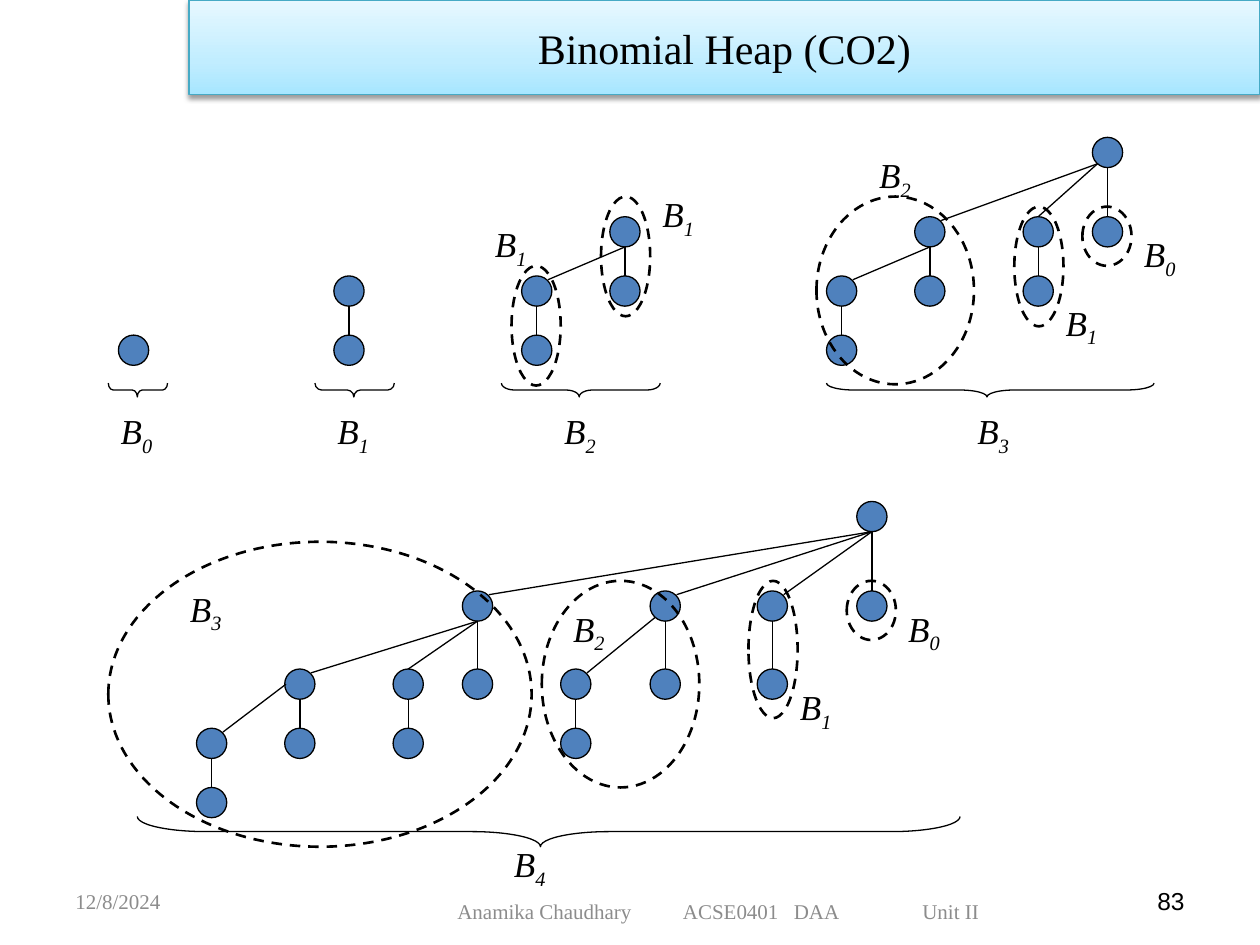
from dataclasses import dataclass
from typing import NamedTuple

from lxml.etree import SubElement
from pptx import Presentation
from pptx.dml.color import RGBColor as Rgb
from pptx.enum.dml import MSO_LINE_DASH_STYLE as Dash
from pptx.enum.shapes import MSO_CONNECTOR as Connector, MSO_SHAPE as Preset
from pptx.enum.text import MSO_ANCHOR as Anchor, PP_ALIGN as Align
from pptx.oxml import parse_xml
from pptx.oxml.ns import nsdecls, qn
from pptx.util import Inches, Pt


@dataclass(frozen=True)
class Theme:
    ink: str = "000000"
    node: str = "4F81BD"
    muted: str = "8C8C8C"
    title_line: str = "46AAC5"
    title_stops: tuple = ((0, "A7E6FF"), (35, "C1EDFF"), (100, "E7F8FF"))
    serif: str = "Times New Roman"
    sans: str = "Arial"
    title_size: int = 24
    label_size: int = 20
    page_size: int = 14
    footer_size: int = 12
    thin: float = 0.75
    dashed: float = 1.5


THEME = Theme()
DIAMETER = 0.24


class Offset(NamedTuple):
    """Where a link touches a node, measured from the node's centre."""
    x: float
    y: float


TOP = Offset(0, -0.12)
BOTTOM = Offset(0, 0.12)
LEFT = Offset(-0.11, 0)
LOWER_LEFT = Offset(-0.08, 0.09)
UPPER_RIGHT = Offset(0.09, -0.09)


class Node(NamedTuple):
    """A heap node; leave and arrive place the ends of the link from its parent."""
    x: float
    y: float
    children: tuple = ()
    leave: Offset = BOTTOM
    arrive: Offset = TOP


class Label(NamedTuple):
    order: int
    left: float
    top: float


class Brace(NamedTuple):
    left: float
    top: float
    length: float
    depth: float = 0.11


class Outline(NamedTuple):
    left: float
    top: float
    width: float
    height: float


def pair(x: float, y: float, gap: float = 0.47, **link) -> Node:
    """A B1 tree: a node with one child straight below."""
    return Node(x, y, (Node(x, y + gap),), **link)


TREES = (
    Node(1.06, 2.78),
    pair(2.77, 2.31),
    Node(4.96, 1.84, (pair(4.26, 2.31, arrive=UPPER_RIGHT), Node(4.96, 2.31))),
    Node(8.79, 1.21, (
        Node(7.38, 1.84, (pair(6.68, 2.31, arrive=UPPER_RIGHT), Node(7.38, 2.31)),
             LOWER_LEFT, UPPER_RIGHT),
        pair(8.24, 1.84, leave=LOWER_LEFT),
        Node(8.79, 1.84),
    )),
    Node(6.92, 4.1, (
        Node(3.79, 4.81, (
            Node(2.38, 5.43, (pair(1.68, 5.9, leave=LEFT, arrive=UPPER_RIGHT),
                              Node(2.38, 5.9)), arrive=UPPER_RIGHT),
            pair(3.24, 5.43),
            Node(3.79, 5.43),
        ), arrive=UPPER_RIGHT),
        Node(5.28, 4.81, (pair(4.57, 5.43, leave=LOWER_LEFT, arrive=UPPER_RIGHT),
                          Node(5.28, 5.43)), arrive=UPPER_RIGHT),
        pair(6.13, 4.81, 0.62, arrive=UPPER_RIGHT),
        Node(6.92, 4.81),
    )),
)
OUTLINES = (
    Outline(4.77, 1.56, 0.39, 0.95), Outline(4.06, 2.11, 0.39, 0.95),
    Outline(6.48, 1.56, 1.25, 1.49), Outline(8.05, 1.64, 0.39, 0.95),
    Outline(8.59, 1.64, 0.39, 0.47), Outline(0.86, 4.3, 3.36, 2.42),
    Outline(4.3, 4.61, 1.25, 1.64), Outline(5.94, 4.61, 0.39, 1.09),
    Outline(6.72, 4.61, 0.39, 0.47),
)
BRACES = (
    Brace(0.86, 3.04, 0.47), Brace(2.5, 3.04, 0.63), Brace(3.98, 3.04, 1.26),
    Brace(6.56, 3.04, 2.6), Brace(1.09, 6.48, 6.53, 0.24),
)
LABELS = (
    Label(0, 0.86, 3.2), Label(1, 2.58, 3.2), Label(2, 4.38, 3.2),
    Label(3, 7.66, 3.2), Label(4, 3.98, 6.64),
    Label(1, 3.83, 1.72), Label(1, 5.16, 1.48), Label(2, 6.88, 1.17),
    Label(1, 8.36, 2.34), Label(0, 8.98, 1.8),
    Label(3, 1.41, 4.61), Label(2, 4.45, 4.77), Label(1, 6.25, 5.39),
    Label(0, 7.11, 4.77),
)


def add_run(paragraph, text, *, size, font=THEME.serif, color=THEME.ink, italic=False):
    run = paragraph.add_run()
    run.text = text
    run.font.size, run.font.name, run.font.italic = Pt(size), font, italic
    run.font.color.rgb = Rgb.from_string(color)
    return run


def add_box(slide, left, top, width, height, *, anchor=Anchor.TOP, wrap=True,
            align=Align.LEFT):
    frame = slide.shapes.add_textbox(*map(Inches, (left, top, width, height))).text_frame
    frame.word_wrap, frame.vertical_anchor = wrap, anchor
    frame.paragraphs[0].alignment = align
    return frame


def draw_preset(slide, preset, left, top, width, height, *, fill=None,
                weight=THEME.thin):
    shape = slide.shapes.add_shape(preset, *map(Inches, (left, top, width, height)))
    shape.shadow.inherit = False
    if fill:
        shape.fill.solid()
        shape.fill.fore_color.rgb = Rgb.from_string(fill)
    else:
        shape.fill.background()
    shape.line.color.rgb = Rgb.from_string(THEME.ink)
    shape.line.width = Pt(weight)
    return shape


def draw_tree(slide, node: Node) -> None:
    radius = DIAMETER / 2
    draw_preset(slide, Preset.OVAL, node.x - radius, node.y - radius,
                DIAMETER, DIAMETER, fill=THEME.node)
    for child in node.children:
        draw_tree(slide, child)
        link = slide.shapes.add_connector(Connector.STRAIGHT, *map(Inches, (
            node.x + child.leave.x, node.y + child.leave.y,
            child.x + child.arrive.x, child.y + child.arrive.y)))
        link.line.color.rgb = Rgb.from_string(THEME.ink)
        link.line.width = Pt(THEME.thin)
        SubElement(link._element.spPr, qn("a:effectLst"))


def draw_brace(slide, brace: Brace) -> None:
    """Turn an upright left brace about its centre so that it points down."""
    left = brace.left + (brace.length - brace.depth) / 2
    top = brace.top - (brace.length - brace.depth) / 2
    shape = draw_preset(slide, Preset.LEFT_BRACE, left, top, brace.depth, brace.length)
    shape.rotation = 270
    shape.adjustments[0] = brace.length / brace.depth / 12
    shape.adjustments[1] = 0.49


def draw_label(slide, label: Label) -> None:
    frame = add_box(slide, label.left, label.top, 0.47, 0.44, wrap=False)
    paragraph = frame.paragraphs[0]
    add_run(paragraph, "B", size=THEME.label_size, italic=True)
    order = add_run(paragraph, str(label.order), size=THEME.label_size, italic=True)
    order.font._element.set("baseline", "-25000")


def draw_title(slide) -> None:
    title = slide.shapes.title
    title.left, title.top, title.width, title.height = map(Inches, (1.5, 0, 8.5, 0.75))
    stops = "".join(f'<a:gs pos="{place * 1000}"><a:srgbClr val="{color}"/></a:gs>'
                    for place, color in THEME.title_stops)
    properties = title._element.spPr
    properties.append(parse_xml(
        f'<a:gradFill {nsdecls("a")} rotWithShape="1"><a:gsLst>{stops}</a:gsLst>'
        '<a:lin ang="16200000" scaled="1"/></a:gradFill>'))
    title.line.color.rgb = Rgb.from_string(THEME.title_line)
    title.line.width = Pt(THEME.thin)
    properties.append(parse_xml(
        f'<a:effectLst {nsdecls("a")}><a:outerShdw blurRad="39370" dist="20320" '
        f'dir="5400000" rotWithShape="0"><a:srgbClr val="{THEME.ink}">'
        '<a:alpha val="38000"/></a:srgbClr></a:outerShdw></a:effectLst>'))
    title.text_frame.vertical_anchor = Anchor.MIDDLE
    paragraph = title.text_frame.paragraphs[0]
    paragraph.alignment = Align.CENTER
    add_run(paragraph, "Binomial Heap (CO2)", size=THEME.title_size)


def draw_footer(slide) -> None:
    muted = dict(size=THEME.footer_size, color=THEME.muted)
    date = add_box(slide, 0.5, 6.95, 2.33, 0.4, anchor=Anchor.MIDDLE)
    add_run(date.paragraphs[0], "12/8/2024", **muted)
    course = add_box(slide, 3.39, 7.03, 4.63, 0.4, anchor=Anchor.MIDDLE)
    course.margin_left = Inches(0.24)
    tabs = SubElement(course.paragraphs[0]._p.get_or_add_pPr(), qn("a:tabLst"))
    for stop in (1.79, 2.67, 3.69):
        SubElement(tabs, qn("a:tab"), pos=str(Inches(stop)), algn="l")
    add_run(course.paragraphs[0], "Anamika Chaudhary\tACSE0401\tDAA\tUnit II", **muted)
    page = add_box(slide, 7.17, 6.95, 2.33, 0.4, anchor=Anchor.MIDDLE, align=Align.RIGHT)
    add_run(page.paragraphs[0], "83", size=THEME.page_size, font=THEME.sans)


def main() -> None:
    deck = Presentation()
    deck.slide_width, deck.slide_height = Inches(10), Inches(7.5)
    slide = deck.slides.add_slide(deck.slide_layouts.get_by_name("Title Only"))
    draw_title(slide)
    for tree in TREES:
        draw_tree(slide, tree)
    for outline in OUTLINES:
        ring = draw_preset(slide, Preset.OVAL, *outline, weight=THEME.dashed)
        ring.line.dash_style = Dash.DASH
    for brace in BRACES:
        draw_brace(slide, brace)
    for label in LABELS:
        draw_label(slide, label)
    draw_footer(slide)
    deck.save("out.pptx")


if __name__ == "__main__":
    main()
